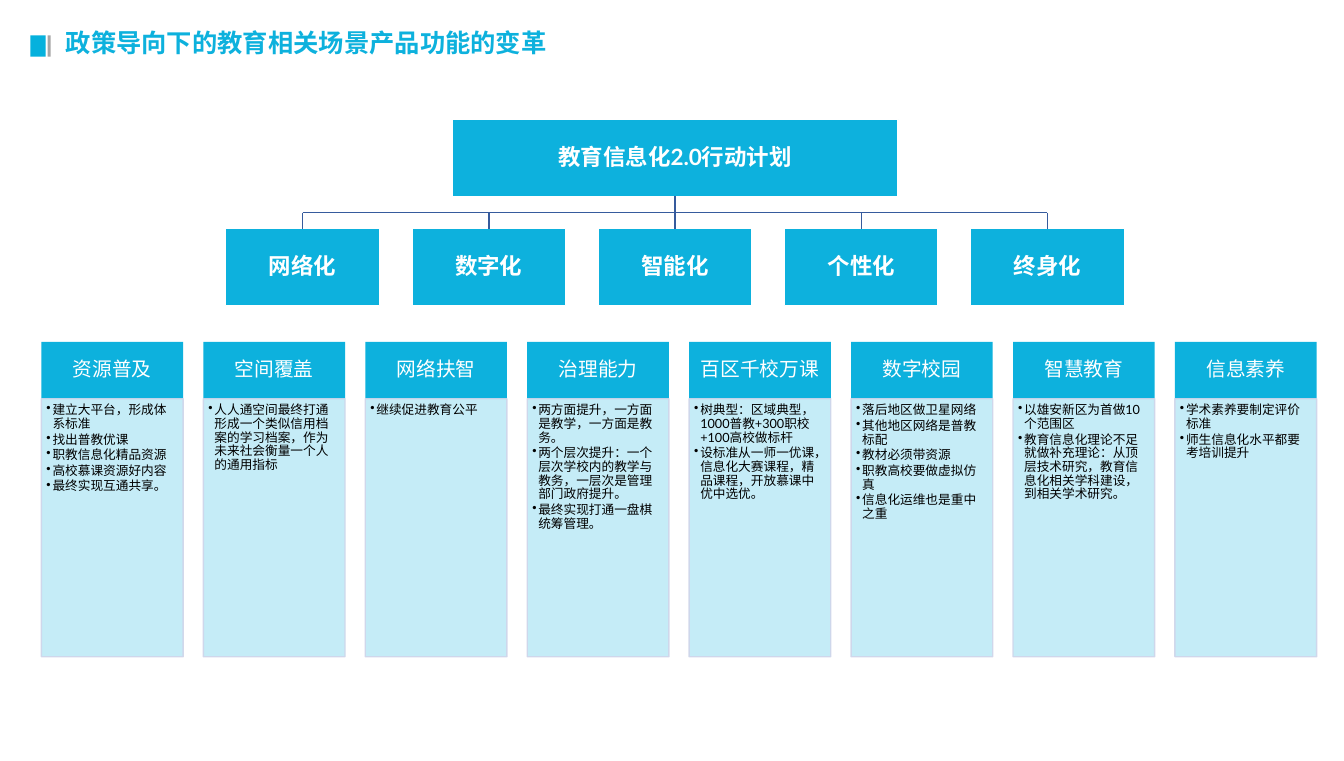
from lxml.etree import SubElement
from pptx import Presentation
from pptx.dml.color import RGBColor
from pptx.enum.shapes import MSO_CONNECTOR, MSO_SHAPE
from pptx.enum.text import MSO_ANCHOR, MSO_AUTO_SIZE, PP_ALIGN
from pptx.oxml.ns import qn
from pptx.util import Inches, Pt

CYAN = RGBColor(0x0D, 0xB1, 0xDD)
MARKER_CYAN = RGBColor(0x05, 0xB1, 0xDD)
PANEL_CYAN = RGBColor(0x10, 0xB0, 0xDE)
PANEL_LINE = RGBColor(0xCF, 0xD5, 0xEA)
TREE_LINE = RGBColor(0x36, 0x5B, 0x9D)
GRAY = RGBColor(0xA6, 0xA6, 0xA6)
WHITE = RGBColor(0xFF, 0xFF, 0xFF)
BLACK = RGBColor(0x00, 0x00, 0x00)

GOALS = ["网络化", "数字化", "智能化", "个性化", "终身化"]
ACTIONS = {
    "资源普及": ["建立大平台，形成体系标准", "找出普教优课", "职教信息化精品资源",
             "高校慕课资源好内容", "最终实现互通共享。"],
    "空间覆盖": ["人人通空间最终打通形成一个类似信用档案的学习档案，作为未来社会衡量一个人的通用指标"],
    "网络扶智": ["继续促进教育公平"],
    "治理能力": ["两方面提升，一方面是教学，一方面是教务。",
             "两个层次提升：一个层次学校内的教学与教务，一层次是管理部门政府提升。",
             "最终实现打通一盘棋统筹管理。"],
    "百区千校万课": ["树典型：区域典型，1000普教+300职校+100高校做标杆",
               "设标准从一师一优课，信息化大赛课程，精品课程，开放慕课中优中选优。"],
    "数字校园": ["落后地区做卫星网络", "其他地区网络是普教标配", "教材必须带资源",
             "职教高校要做虚拟仿真", "信息化运维也是重中之重"],
    "智慧教育": ["以雄安新区为首做10个范围区",
             "教育信息化理论不足就做补充理论：从顶层技术研究，教育信息化相关学科建设，到相关学术研究。"],
    "信息素养": ["学术素养要制定评价标准", "师生信息化水平都要考培训提升"],
}

TREE_CENTER, GOAL_WIDTH, GOAL_STEP = 6.67, 1.52, 1.84
ROOT_WIDTH, BOX_HEIGHT = 4.41, 0.76
ROOT_TOP, BUS_TOP, GOAL_TOP = 1.18, 2.1, 2.26
COLUMN_LEFT, COLUMN_STEP, COLUMN_WIDTH = 0.41, 1.6, 1.4
HEADER_TOP, HEADER_HEIGHT, PANEL_HEIGHT = 3.38, 0.56, 2.55

presentation = Presentation()
presentation.slide_width = Inches(13.28)
presentation.slide_height = Inches(7.52)
slide = presentation.slides.add_slide(presentation.slide_layouts[5])


def add_box(left, top, width, height, fill, line=None):
    shape = slide.shapes.add_shape(
        MSO_SHAPE.RECTANGLE, Inches(left), Inches(top), Inches(width), Inches(height))
    shape.shadow.inherit = False
    shape.fill.solid()
    shape.fill.fore_color.rgb = fill
    if line is None:
        shape.line.fill.background()
    else:
        shape.line.color.rgb = line
        shape.line.width = Pt(1)
    return shape


def write_text(shape, lines, size, color, bold=False, align=PP_ALIGN.CENTER,
               anchor=MSO_ANCHOR.MIDDLE, margins=(0.01, 0.01, 0.01, 0.01), bullet=False):
    frame = shape.text_frame
    frame.text = "\n".join(lines)
    frame_format = {"word_wrap": True, "auto_size": MSO_AUTO_SIZE.NONE, "vertical_anchor": anchor}
    sides = ("margin_left", "margin_top", "margin_right", "margin_bottom")
    frame_format.update({side: Inches(margin) for side, margin in zip(sides, margins)})
    for name, value in frame_format.items():
        setattr(frame, name, value)
    for paragraph in frame.paragraphs:
        if bullet:
            properties = paragraph._p.get_or_add_pPr()
            properties.set("marL", str(Inches(0.06)))
            properties.set("indent", str(-Inches(0.06)))
            SubElement(properties, qn("a:buChar")).set("char", "•")
            paragraph.space_after = Pt(1.4)
        paragraph.alignment = align
        paragraph.line_spacing = 0.9
        font = paragraph.runs[0].font
        for name, value in {"name": "Lato", "size": Pt(size), "bold": bold}.items():
            setattr(font, name, value)
        font.color.rgb = color


add_box(0.3, 0.35, 0.15, 0.21, MARKER_CYAN)
add_box(0.47, 0.35, 0.03, 0.21, GRAY)
title = slide.shapes.title
title_place = {"left": 0.55, "top": 0.28, "width": 5.73, "height": 0.31}
for name, value in title_place.items():
    setattr(title, name, Inches(value))
write_text(title, ["政策导向下的教育相关场景产品功能的变革"], 18, CYAN, bold=True,
           align=PP_ALIGN.LEFT, margins=(0.1, 0.05, 0.1, 0.05))

for index, (heading, points) in enumerate(ACTIONS.items()):
    left = COLUMN_LEFT + index * COLUMN_STEP
    header = add_box(left, HEADER_TOP, COLUMN_WIDTH, HEADER_HEIGHT, CYAN)
    write_text(header, [heading], 14, WHITE, margins=(0.11, 0.06, 0.11, 0.06))
    panel = add_box(left, HEADER_TOP + HEADER_HEIGHT, COLUMN_WIDTH, PANEL_HEIGHT,
                    PANEL_CYAN, PANEL_LINE)
    for color, opacity in zip(panel.element.spPr.iter(qn("a:srgbClr")), (24000, 90000)):
        SubElement(color, qn("a:alpha")).set("val", str(opacity))
    write_text(panel, points, 9, BLACK, align=PP_ALIGN.LEFT, anchor=MSO_ANCHOR.TOP,
               margins=(0.05, 0.05, 0.07, 0.08), bullet=True)

root = add_box(TREE_CENTER - ROOT_WIDTH / 2, ROOT_TOP, ROOT_WIDTH, BOX_HEIGHT, CYAN, WHITE)
write_text(root, ["教育信息化2.0行动计划"], 16, WHITE, bold=True)

centers = [TREE_CENTER + (index - 2) * GOAL_STEP for index in range(len(GOALS))]
branches = [(TREE_CENTER, ROOT_TOP + BOX_HEIGHT, TREE_CENTER, BUS_TOP, root, None),
            (centers[0], BUS_TOP, centers[-1], BUS_TOP, None, None)]
for center, goal in zip(centers, GOALS):
    box = add_box(center - GOAL_WIDTH / 2, GOAL_TOP, GOAL_WIDTH, BOX_HEIGHT, CYAN, WHITE)
    write_text(box, [goal], 16, WHITE, bold=True)
    branches.append((center, BUS_TOP, center, GOAL_TOP, None, box))

for start_x, start_y, end_x, end_y, parent, child in branches:
    connector = slide.shapes.add_connector(
        MSO_CONNECTOR.STRAIGHT, Inches(start_x), Inches(start_y), Inches(end_x), Inches(end_y))
    if parent is not None:
        connector.begin_connect(parent, 2)
    if child is not None:
        connector.end_connect(child, 0)
    connector.line.color.rgb = TREE_LINE
    connector.line.width = Pt(1)
    SubElement(connector.element.spPr, qn("a:effectLst"))

presentation.save("out.pptx")
